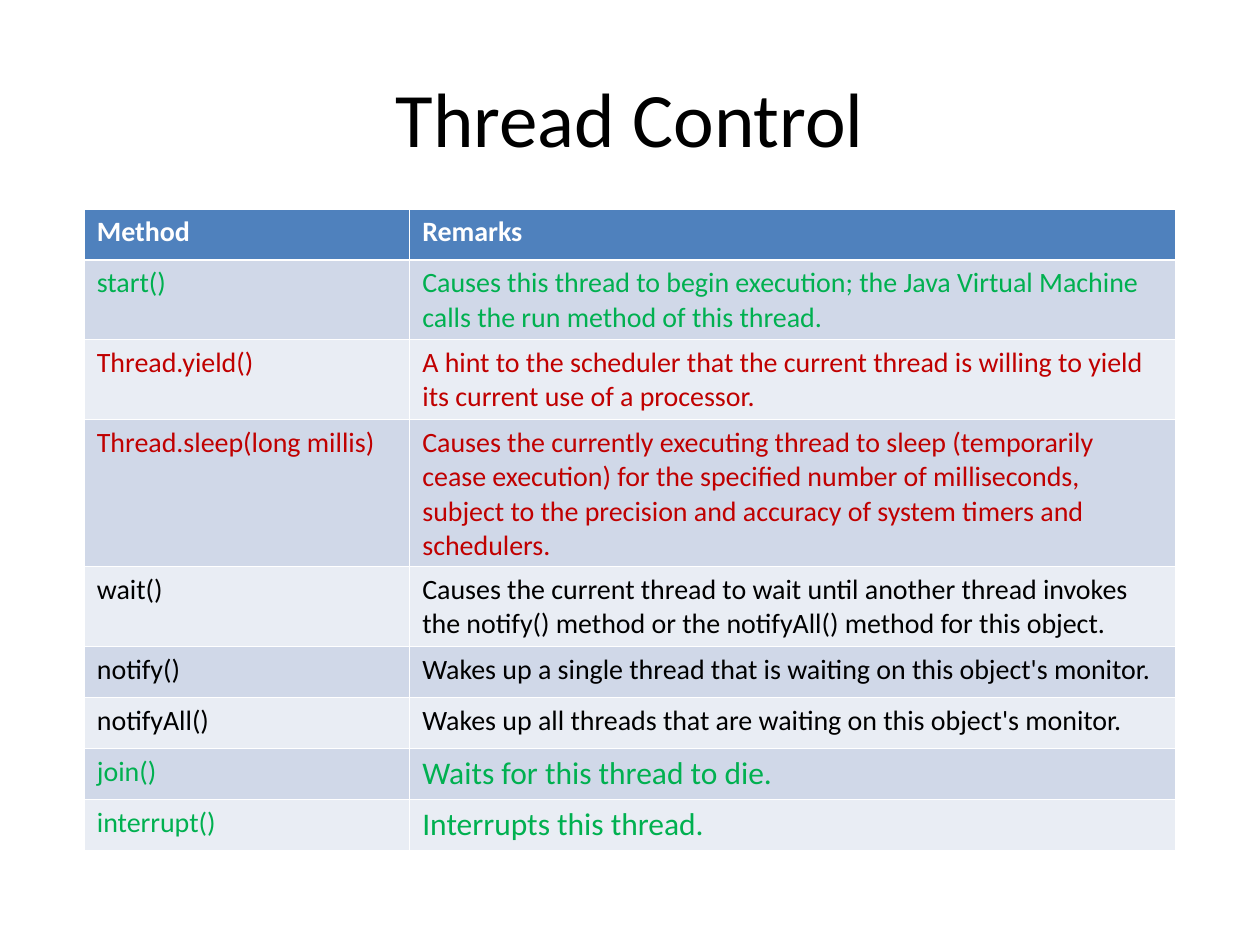
"""Build the Thread Control slide with its table of thread methods."""
from pptx import Presentation
from pptx.dml.color import RGBColor
from pptx.enum.text import MSO_ANCHOR as Anchor, PP_ALIGN as Align
from pptx.util import Cm, Pt

FONT = "Calibri"
BLACK = RGBColor(0x00, 0x00, 0x00)
WHITE = RGBColor(0xFF, 0xFF, 0xFF)
GREEN = RGBColor(0x00, 0xB0, 0x50)
RED = RGBColor(0xC0, 0x00, 0x00)
HEADER_BLUE = RGBColor(0x4F, 0x81, 0xBD)
BANDS = (RGBColor(0xE9, 0xED, 0xF4), RGBColor(0xD0, 0xD8, 0xE8))

TITLE = "Thread Control"
HEADINGS = ("Method", "Remarks")
METHODS = [
    ("start()", "Causes this thread to begin execution; the Java Virtual Machine "
     "calls the run method of this thread.", GREEN, 16),
    ("Thread.yield()", "A hint to the scheduler that the current thread is willing "
     "to yield its current use of a processor.", RED, 16),
    ("Thread.sleep(long millis)", "Causes the currently executing thread to sleep "
     "(temporarily cease execution) for the specified number of milliseconds, "
     "subject to the precision and accuracy of system timers and schedulers.", RED, 16),
    ("wait()", "Causes the current thread to wait until another thread invokes "
     "the notify() method or the notifyAll() method for this object.", BLACK, 16),
    ("notify()", "Wakes up a single thread that is waiting on this object's monitor.",
     BLACK, 16),
    ("notifyAll()", "Wakes up all threads that are waiting on this object's monitor.",
     BLACK, 16),
    ("join()", "Waits for this thread to die.", GREEN, 18),
    ("interrupt()", "Interrupts this thread.", GREEN, 18),
]
COLUMN_WIDTHS = (Cm(6.56), Cm(15.45))
ROW_HEIGHT = Cm(1.03)


def write(frame, text, size, color, bold=False):
    frame.text = text
    paragraph = frame.paragraphs[0]
    font = paragraph.font
    font.name, font.size, font.bold = FONT, Pt(size), bold
    font.color.rgb = color
    return paragraph


def fill_cell(cell, text, size, color, background, bold=False):
    write(cell.text_frame, text, size, color, bold)
    cell.fill.solid()
    cell.fill.fore_color.rgb = background


def add_title(slide):
    frame = slide.shapes.add_textbox(Cm(1.27), Cm(0.76), Cm(22.86), Cm(3.18)).text_frame
    frame.word_wrap = True
    frame.vertical_anchor = Anchor.MIDDLE
    write(frame, TITLE, 44, BLACK).alignment = Align.CENTER


def add_methods(slide):
    row_count = len(METHODS) + 1
    methods = slide.shapes.add_table(
        row_count, len(HEADINGS), Cm(1.7), Cm(4.21),
        sum(COLUMN_WIDTHS), ROW_HEIGHT * row_count).table
    for column, width in zip(methods.columns, COLUMN_WIDTHS):
        column.width = width
    for index, heading in enumerate(HEADINGS):
        fill_cell(methods.cell(0, index), heading, 16, WHITE, HEADER_BLUE, True)
    for row, (method, remark, color, remark_size) in enumerate(METHODS, 1):
        band = BANDS[row % 2]
        fill_cell(methods.cell(row, 0), method, 16, color, band)
        fill_cell(methods.cell(row, 1), remark, remark_size, color, band)


def main():
    presentation = Presentation()
    presentation.slide_width, presentation.slide_height = Cm(25.4), Cm(19.05)
    slide = presentation.slides.add_slide(presentation.slide_layouts[6])
    add_title(slide)
    add_methods(slide)
    presentation.save("out.pptx")


if __name__ == "__main__":
    main()
